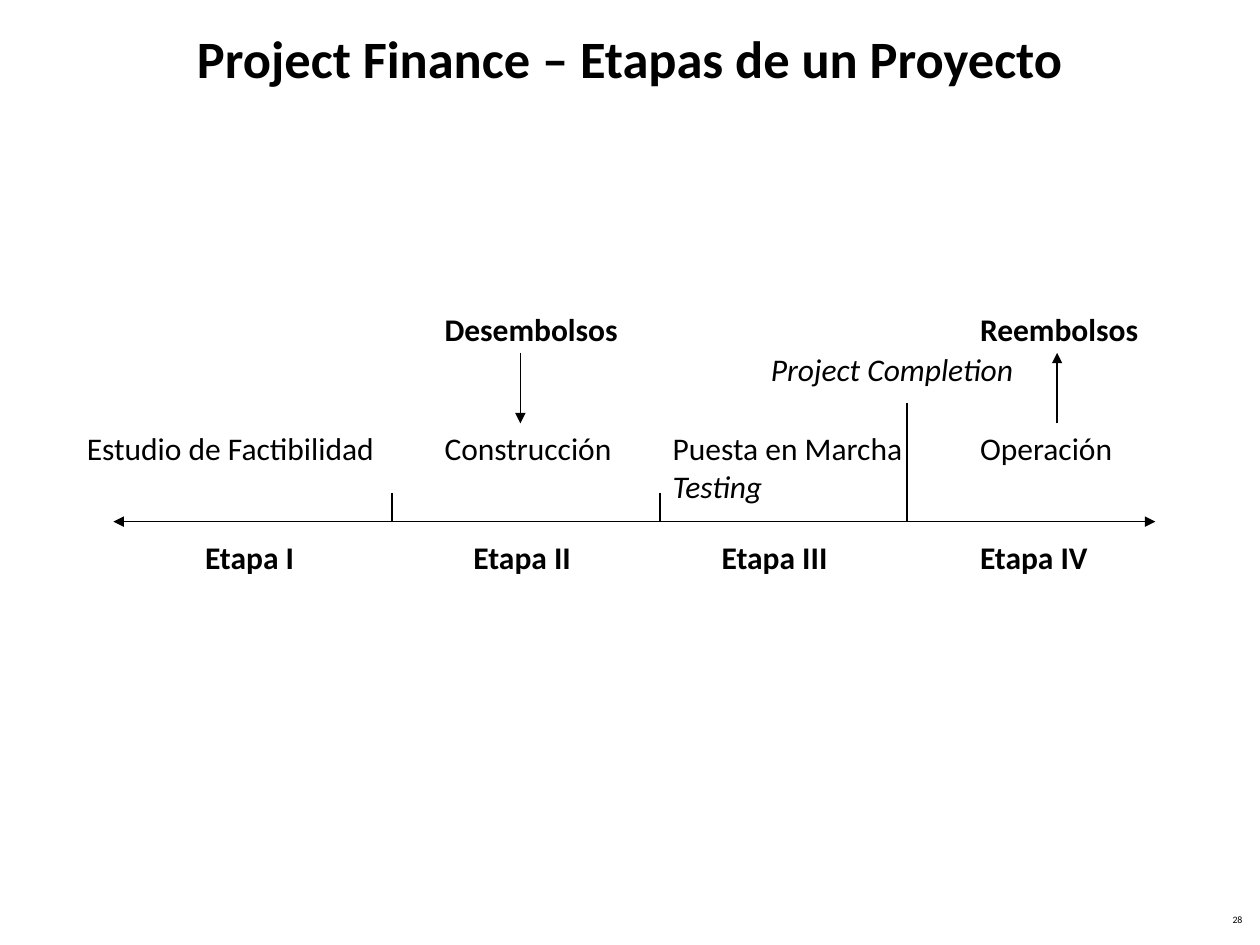
"""Builds a slide with the timeline of a project's four stages."""
from dataclasses import dataclass

from lxml import etree
from pptx import Presentation
from pptx import util as u
from pptx.dml import color
from pptx.enum import shapes, text
from pptx.oxml import ns


@dataclass(frozen=True)
class Theme:
    """Colours, font and type sizes."""
    ink: str = "000000"
    paper: str = "FFFFFF"
    font: str = "Calibri"
    head: float = 30
    body: float = 18
    note: float = 5.6
    rule: float = 1


class Board:
    """Draws on one slide, measured on a grid of 100 columns by 75 rows."""

    def __init__(self, deck, theme):
        """Adds a blank slide."""
        self.theme = theme
        self.unit = deck.slide_width / 100
        self.slide = deck.slides.add_slide(deck.slide_layouts[6])
        fill = self.slide.background.fill
        fill.solid()
        fill.fore_color.rgb = color.RGBColor.from_string(theme.paper)

    def span(self, *cells):
        """Turns grid cells into lengths."""
        return [u.Emu(round(cell * self.unit)) for cell in cells]

    def label(self, spot, *parts, size=None, bold=False, align="LEFT",
              anchor="TOP", pitch=None):
        """Adds a text box; each part is its words and whether they slant."""
        frame = self.slide.shapes.add_textbox(*self.span(*spot)).text_frame
        frame.word_wrap = True
        frame.vertical_anchor = getattr(text.MSO_ANCHOR, anchor)
        para = frame.paragraphs[0]
        para.alignment = getattr(text.PP_ALIGN, align)
        para.line_spacing = pitch
        for words, slant in parts:
            run = para.add_run()
            run.text = words
            font = run.font
            font.name = self.theme.font
            font.size = u.Pt(size or self.theme.body)
            font.bold, font.italic = bold, slant
            font.color.rgb = color.RGBColor.from_string(self.theme.ink)

    def line(self, start, end, *tips):
        """Adds a straight line with arrowheads at the named ends."""
        link = self.slide.shapes.add_connector(
            shapes.MSO_CONNECTOR.STRAIGHT, *self.span(*start, *end))
        link.line.width = u.Pt(self.theme.rule)
        link.line.color.rgb = color.RGBColor.from_string(self.theme.ink)
        props = link.line._get_or_add_ln()
        for tip in tips:
            etree.SubElement(props, ns.qn(f"a:{tip}"), type="triangle")
        etree.SubElement(link._element.spPr, ns.qn("a:effectLst"))


def main():
    """Builds and saves the deck."""
    deck = Presentation()
    deck.slide_width, deck.slide_height = u.Inches(10), u.Inches(7.5)
    theme = Theme()
    board = Board(deck, theme)

    board.label((0, 0, 100, 9.1),
                ("Project Finance – Etapas de un Proyecto", False),
                size=theme.head, bold=True, align="CENTER", anchor="MIDDLE")
    board.label((76.3, 72.2, 23.3, 2.1), ("28", False),
                size=theme.note, align="RIGHT", pitch=0.8)

    axis, task, flow, stage, tall = 41.4, 33.6, 24.1, 42.2, 4
    board.line((9, axis), (91.7, axis), "headEnd", "tailEnd")
    for col, top in ((31.1, 39.1), (52.4, 39.1), (72, 32)):
        board.line((col, top), (col, axis))

    tasks = (
        (5.9, 26.8, tall, [("Estudio de Factibilidad", False)]),
        (34.3, 17.3, tall, [("Construcción", False)]),
        (52.4, 22.8, 7, [("Puesta en Marcha ", False), ("Testing", True)]),
        (76.8, 13.4, tall, [("Operación", False)]),
    )
    for left, wide, high, parts in tasks:
        board.label((left, task, wide, high), *parts)

    for left, words in ((34.3, "Desembolsos"), (76.8, "Reembolsos")):
        board.label((left, flow, 17.3, tall), (words, False), bold=True)
    board.line((41.3, 28), (41.3, task), "tailEnd")
    board.line((83.9, task), (83.9, 28), "tailEnd")
    board.label((60.2, 27.3, 23.6, tall), ("Project Completion", True))

    stages = ((15.3, 11, "I"), (36.6, 11, "II"),
              (56.3, 12.6, "III"), (76.8, 12.6, "IV"))
    for left, wide, mark in stages:
        board.label((left, stage, wide, tall), (f"Etapa {mark}", False),
                    bold=True)

    deck.save("out.pptx")


if __name__ == "__main__":
    main()
